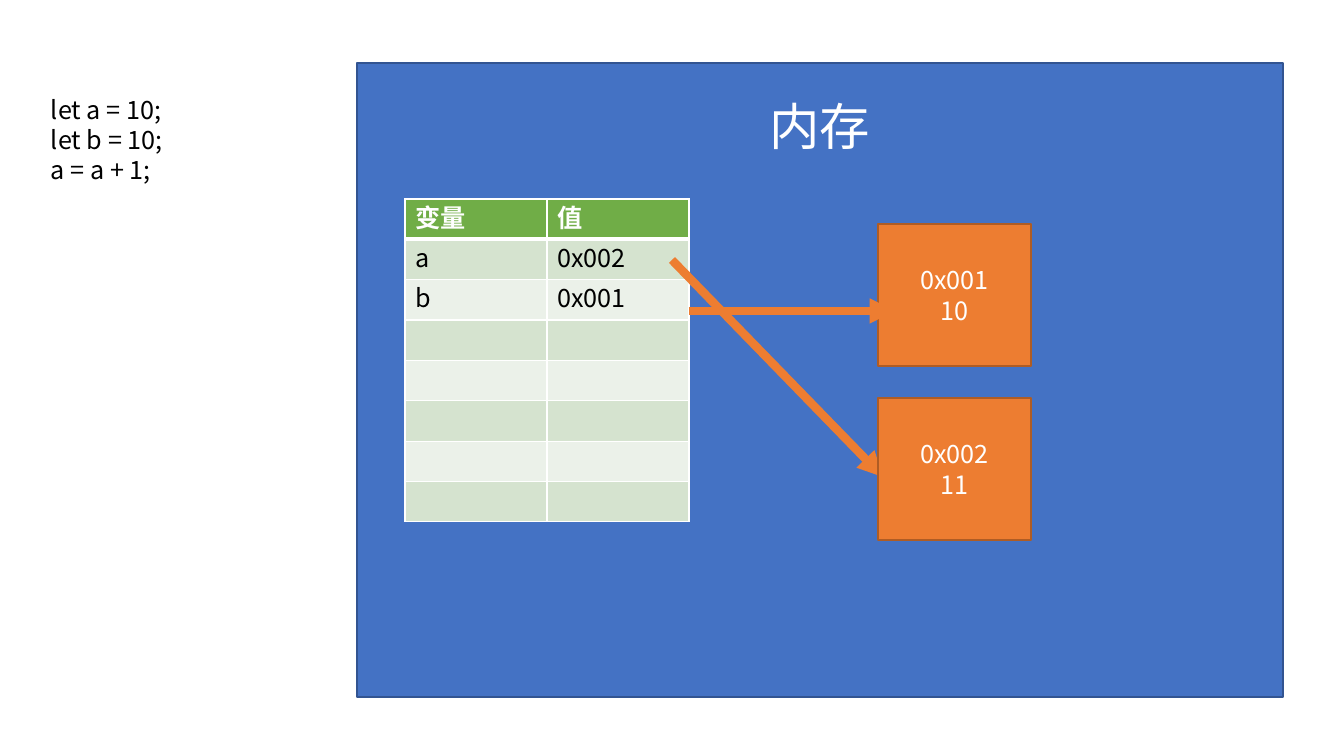
"""Build a slide showing how variables point to values in memory."""
from lxml.etree import SubElement
from pptx import Presentation
from pptx.dml.color import RGBColor
from pptx.enum.shapes import MSO_CONNECTOR as CONNECTOR, MSO_SHAPE as SHAPE
from pptx.enum.text import MSO_ANCHOR as ANCHOR, PP_ALIGN as ALIGN
from pptx.oxml.ns import qn
from pptx.util import Pt

PX = 914400 / 100.8
FONT = "Noto Sans CJK SC"
WHITE, BLACK, BLUE, ORANGE, GREEN = "FFFFFF", "000000", "4472C4", "ED7D31", "70AD47"
BLUE_EDGE, ORANGE_EDGE = "325491", "AF5C24"
BANDS = ["D5E3CF", "EBF1E9"]

CODE = "let a = 10;\nlet b = 10;\na = a + 1;"
CODE_AREA = (41, 89, 276, 102)
HEADING = "内存"
PANEL_AREA = (357, 63, 926, 634)
HEADING_INSET = 32
VARIABLES = [("变量", "值"), ("a", "0x002"), ("b", "0x001")]
TABLE_ROWS = 8
TABLE_AREA = (405, 199, 284, 323)
CELLS = ["0x001\n10", "0x002\n11"]
CELL_LEFT, CELL_TOP, CELL_PITCH = 878, 224, 174
CELL_WIDTH, CELL_HEIGHT = 153, 142
ARROWS = [(672, 260, 883, 477), (689, 311, 895, 311)]


def px(*lengths):
    return [round(length * PX) for length in lengths]


def color(value):
    return RGBColor.from_string(value)


def write(frame, text, ink, size=18, bold=False, align=ALIGN.LEFT):
    frame.text = text
    for para in frame.paragraphs:
        para.alignment = align
        para.line_spacing = Pt(size * 1.2)
        para.font.size = Pt(size)
        for span in para.runs:
            font = span.font
            font.size, font.bold = Pt(size), bold
            font.color.rgb = color(ink)
            font.name = FONT
            SubElement(font._element, qn("a:ea"), typeface=FONT)


def add_box(page, area, text, fill, edge, size=18):
    box = page.shapes.add_shape(SHAPE.RECTANGLE, *px(*area))
    box.shadow.inherit = False
    box.fill.solid()
    box.fill.fore_color.rgb = color(fill)
    box.line.color.rgb = color(edge)
    box.line.width = Pt(1)
    box.text_frame.vertical_anchor = ANCHOR.MIDDLE
    write(box.text_frame, text, WHITE, size, align=ALIGN.CENTER)
    return box


def add_memory_cell(page, index):
    top = CELL_TOP + index * CELL_PITCH
    add_box(page, (CELL_LEFT, top, CELL_WIDTH, CELL_HEIGHT), CELLS[index], ORANGE, ORANGE_EDGE)


def add_arrow(page, ends):
    arrow = page.shapes.add_connector(CONNECTOR.STRAIGHT, *px(*ends))
    arrow.line.color.rgb = color(ORANGE)
    arrow.line.width = Pt(6)
    SubElement(arrow.line._get_or_add_ln(), qn("a:tailEnd"), type="triangle")
    SubElement(arrow._element.spPr, qn("a:effectLst"))


def add_borders(cell, widths):
    props = cell._tc.get_or_add_tcPr()
    for side, width in widths.items():
        line = SubElement(props, qn(f"a:ln{side}"), w=str(Pt(width)))
        fill = SubElement(line, qn("a:solidFill"))
        SubElement(fill, qn("a:srgbClr"), val=WHITE)


def add_variable_table(page):
    columns = len(VARIABLES[0])
    table = page.shapes.add_table(TABLE_ROWS, columns, *px(*TABLE_AREA)).table
    for row in range(TABLE_ROWS):
        texts = VARIABLES[row] if row < len(VARIABLES) else [""] * columns
        header = row == 0
        for column, text in enumerate(texts):
            cell = table.cell(row, column)
            write(cell.text_frame, text, WHITE if header else BLACK, bold=header)
            add_borders(cell, {"L": 1, "R": 1, "T": 3 if row == 1 else 1, "B": 3 if header else 1})
            cell.fill.solid()
            cell.fill.fore_color.rgb = color(GREEN if header else BANDS[(row - 1) % 2])


def main():
    deck = Presentation()
    deck.slide_width, deck.slide_height = px(1344, 756)
    page = deck.slides.add_slide(deck.slide_layouts[6])

    panel = add_box(page, PANEL_AREA, HEADING, BLUE, BLUE_EDGE, 36)
    panel.text_frame.vertical_anchor = ANCHOR.TOP
    panel.text_frame.margin_top = px(HEADING_INSET)[0]

    code = page.shapes.add_textbox(*px(*CODE_AREA))
    code.text_frame.word_wrap = True
    write(code.text_frame, CODE, BLACK)

    add_variable_table(page)
    add_memory_cell(page, 0)
    for ends in ARROWS:
        add_arrow(page, ends)
    add_memory_cell(page, 1)
    deck.save("out.pptx")


if __name__ == "__main__":
    main()
